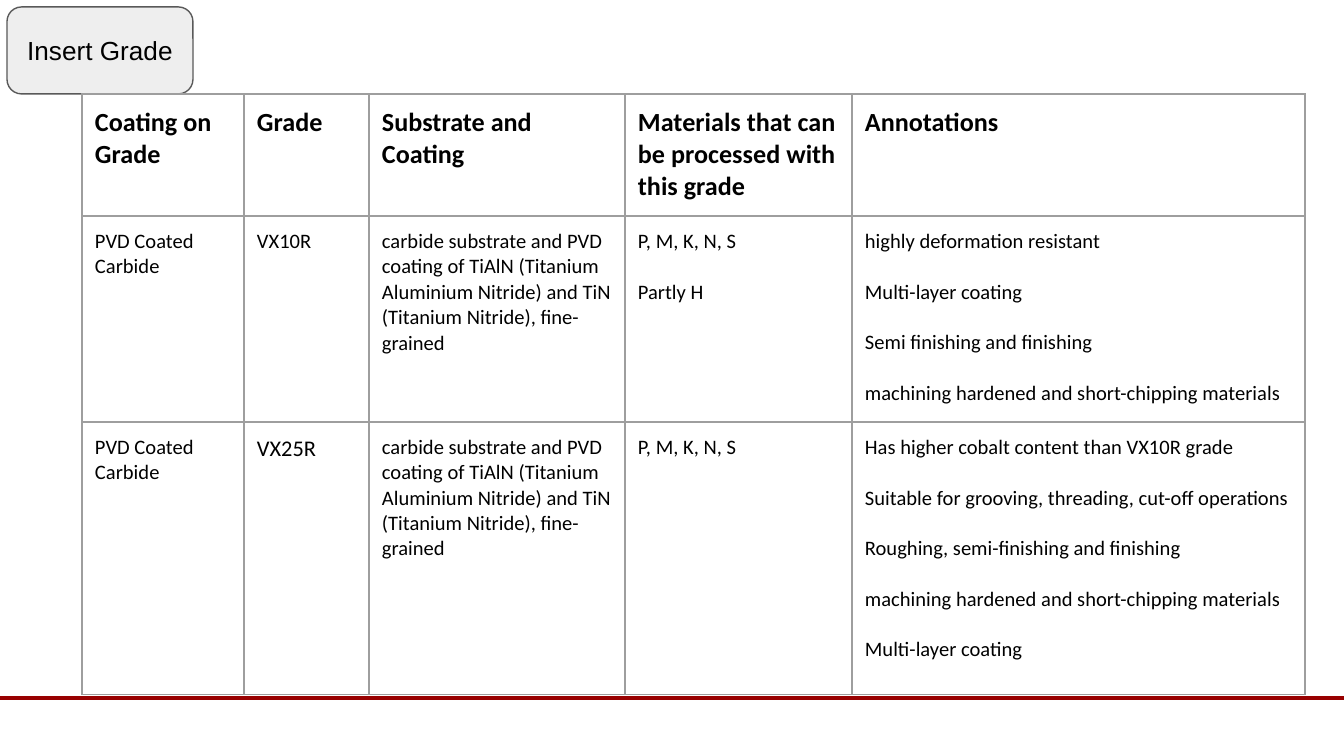
from dataclasses import dataclass

from lxml.etree import SubElement
from pptx import Presentation
from pptx.dml.color import RGBColor
from pptx.enum.shapes import MSO_CONNECTOR, MSO_SHAPE
from pptx.enum.text import MSO_ANCHOR, MSO_AUTO_SIZE, PP_ALIGN
from pptx.oxml.ns import qn
from pptx.slide import Slide
from pptx.table import _Cell
from pptx.text.text import _Paragraph
from pptx.util import Emu, Pt

EMU_PER_PX = 914400 / 134.4


def px(length: int) -> Emu:
    return Emu(round(length * EMU_PER_PX))


@dataclass(frozen=True)
class Theme:
    ink: str = "000000"
    badge: str = "EEEEEE"
    badge_edge: str = "595959"
    grid: str = "9E9E9E"
    rule: str = "980000"
    title_font: str = "Arial"
    table_font: str = "Calibri"
    heading_size: float = 14
    body_size: float = 11
    grade_size: float = 12
    note_gap: float = 13.5
    thin: float = 0.75
    thick: float = 2.25
    inset: int = 13


THEME = Theme()


@dataclass(frozen=True)
class Entry:
    lines: tuple[str, ...]
    size: float = THEME.body_size
    bold: bool = False


@dataclass(frozen=True)
class GradeRow:
    height: int
    entries: tuple[Entry, ...]


def heading(label: str) -> Entry:
    return Entry((label,), THEME.heading_size, True)


HARD_GRADE = "VX10R"
TOUGH_GRADE = "VX25R"
COATING = Entry(("PVD Coated Carbide",))
SUBSTRATE = Entry((
    "carbide substrate and PVD coating of TiAlN (Titanium Aluminium Nitride) "
    "and TiN (Titanium Nitride), fine-grained",
))
MATERIALS = "P, M, K, N, S"
MULTI_LAYER = "Multi-layer coating"
HARDENED = "machining hardened and short-chipping materials"

COLUMN_WIDTHS = (162, 125, 256, 227, 453)
GRADE_ROWS = (
    GradeRow(122, (
        heading("Coating on Grade"),
        heading("Grade"),
        heading("Substrate and Coating"),
        heading("Materials that can be processed with this grade"),
        heading("Annotations"),
    )),
    GradeRow(206, (
        COATING,
        Entry((HARD_GRADE,)),
        SUBSTRATE,
        Entry((MATERIALS, "Partly H")),
        Entry((
            "highly deformation resistant",
            MULTI_LAYER,
            "Semi finishing and finishing",
            HARDENED,
        )),
    )),
    GradeRow(273, (
        COATING,
        Entry((TOUGH_GRADE,), THEME.grade_size),
        SUBSTRATE,
        Entry((MATERIALS,)),
        Entry((
            f"Has higher cobalt content than {HARD_GRADE} grade",
            "Suitable for grooving, threading, cut-off operations",
            "Roughing, semi-finishing and finishing",
            HARDENED,
            MULTI_LAYER,
        )),
    )),
)


def add_run(paragraph: _Paragraph, text: str, font: str, size: float, bold: bool = False) -> None:
    run = paragraph.add_run()
    run.text = text
    run.font.name = font
    run.font.size = Pt(size)
    run.font.bold = bold
    run.font.color.rgb = RGBColor.from_string(THEME.ink)


def draw_rule(slide: Slide, top: int, width: int) -> None:
    rule = slide.shapes.add_connector(MSO_CONNECTOR.STRAIGHT, 0, px(top), px(width), px(top))
    rule.line.color.rgb = RGBColor.from_string(THEME.rule)
    rule.line.width = Pt(THEME.thick)
    SubElement(rule._element.spPr, qn("a:effectLst"))


def draw_title(slide: Slide, text: str, left: int, top: int, width: int, height: int) -> None:
    bounds = tuple(map(px, (left, top, width, height)))
    title = slide.shapes.title
    badge = slide.shapes.add_shape(MSO_SHAPE.ROUNDED_RECTANGLE, *bounds)
    badge.shadow.inherit = False
    badge.fill.solid()
    badge.fill.fore_color.rgb = RGBColor.from_string(THEME.badge)
    badge.line.color.rgb = RGBColor.from_string(THEME.badge_edge)
    badge.line.width = Pt(THEME.thin)
    title._element.addprevious(badge._element)
    title.left, title.top, title.width, title.height = bounds
    frame = title.text_frame
    frame.auto_size = MSO_AUTO_SIZE.NONE
    frame.word_wrap = True
    frame.vertical_anchor = MSO_ANCHOR.MIDDLE
    frame.margin_left = frame.margin_right = px(THEME.inset)
    frame.margin_top = frame.margin_bottom = px(THEME.inset)
    paragraph = frame.paragraphs[0]
    paragraph.alignment = PP_ALIGN.CENTER
    add_run(paragraph, text, THEME.title_font, THEME.heading_size)


def set_borders(cell: _Cell) -> None:
    properties = cell._tc.get_or_add_tcPr()
    for side in ("a:lnL", "a:lnR", "a:lnT", "a:lnB"):
        border = SubElement(properties, qn(side), w=str(Pt(THEME.thin)))
        fill = SubElement(border, qn("a:solidFill"))
        SubElement(fill, qn("a:srgbClr"), val=THEME.grid)


def fill_cell(cell: _Cell, entry: Entry) -> None:
    set_borders(cell)
    cell.fill.background()
    cell.margin_left = cell.margin_right = px(THEME.inset)
    cell.margin_top = cell.margin_bottom = px(THEME.inset)
    frame = cell.text_frame
    for index, line in enumerate(entry.lines):
        paragraph = frame.add_paragraph() if index else frame.paragraphs[0]
        if index:
            paragraph.space_before = Pt(THEME.note_gap)
        add_run(paragraph, line, THEME.table_font, entry.size, entry.bold)


def draw_grades(slide: Slide, left: int, top: int) -> None:
    width = sum(COLUMN_WIDTHS)
    height = sum(row.height for row in GRADE_ROWS)
    grades = slide.shapes.add_table(
        len(GRADE_ROWS), len(COLUMN_WIDTHS), px(left), px(top), px(width), px(height)
    ).table
    grades.first_row = False
    grades.horz_banding = False
    for column, column_width in zip(grades.columns, COLUMN_WIDTHS):
        column.width = px(column_width)
    for grade, content in zip(grades.rows, GRADE_ROWS):
        grade.height = px(content.height)
        for cell, entry in zip(grade.cells, content.entries):
            fill_cell(cell, entry)


def main() -> None:
    presentation = Presentation()
    presentation.slide_width, presentation.slide_height = px(1344), px(756)
    slide = presentation.slides.add_slide(presentation.slide_layouts.get_by_name("Title Only"))
    draw_rule(slide, 698, 1344)
    draw_title(slide, "Insert Grade", 7, 7, 186, 87)
    draw_grades(slide, 82, 94)
    presentation.save("out.pptx")


if __name__ == "__main__":
    main()
